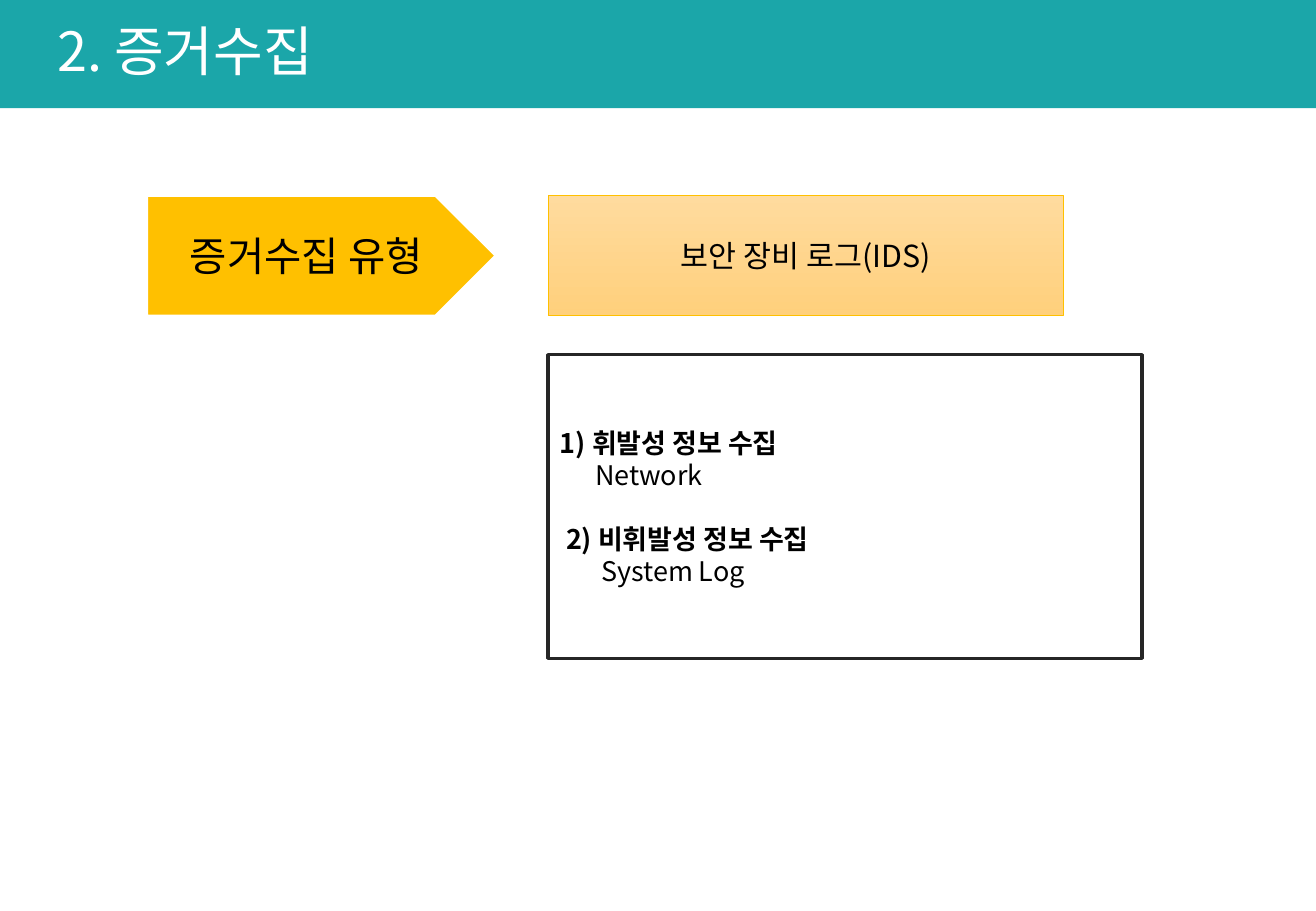
import pptx
import pptx.util
from dataclasses import dataclass
from pptx.dml.color import RGBColor
from pptx.enum.shapes import MSO_SHAPE
from pptx.enum.text import MSO_ANCHOR, PP_ALIGN
from pptx.util import Inches


@dataclass(frozen=True)
class Theme:
    font: str = "Noto Sans CJK KR"
    teal: str = "1BA6A9"
    amber: str = "FFC000"
    peach: tuple = ("FFDB9E", "FFD07C")
    white: str = "FFFFFF"
    black: str = "000000"
    charcoal: str = "262626"
    title: int = 32
    heading: int = 24
    label: int = 18
    body: int = 16
    body_line: int = 19


THEME = Theme()


def set_format(obj, values):
    for name, value in values.items():
        setattr(obj, name, value)


def paint(fill, color):
    """Fill with one colour, or from top to bottom with a pair."""
    if isinstance(color, tuple):
        fill.gradient()
        fill.gradient_angle = 270
        for stop, c in zip(fill.gradient_stops, color):
            stop.color.rgb = RGBColor.from_string(c)
    else:
        fill.solid()
        fill.fore_color.rgb = RGBColor.from_string(color)


def add_box(s, kind, box, fill, line=None, width=0):
    sp = s.shapes.add_shape(kind, *map(Inches, box))
    sp.shadow.inherit = False
    paint(sp.fill, fill)
    if line:
        paint(sp.line.fill, line)
        sp.line.width = pptx.util.Pt(width)
    else:
        sp.line.fill.background()
    set_format(sp.text_frame, {"word_wrap": True,
                               "vertical_anchor": MSO_ANCHOR.MIDDLE})
    return sp


def write(p, text, size, color=THEME.black, bold=False, **layout):
    set_format(p, layout)
    r = p.add_run()
    r.text = text
    set_format(r.font, {"name": THEME.font, "size": pptx.util.Pt(size),
                        "bold": bold})
    r.font.color.rgb = RGBColor.from_string(color)


def add_list(sp, items):
    """Write bold headings, each with an indented detail line."""
    tf = sp.text_frame
    line = pptx.util.Pt(THEME.body_line)
    for i, (heading, detail) in enumerate(items):
        margin = 0.05 * i
        rows = ((heading, True, margin, line if i else 0),
                (detail, False, margin + 0.29, 0))
        for j, (text, bold, indent, before) in enumerate(rows):
            p = tf.add_paragraph() if i or j else tf.paragraphs[0]
            write(p, text, THEME.body, bold=bold, alignment=PP_ALIGN.LEFT,
                  line_spacing=line, space_before=before)
            p._p.get_or_add_pPr().set("marL", str(Inches(indent)))


def main():
    prs = pptx.Presentation()
    set_format(prs, {"slide_width": Inches(10.83), "slide_height": Inches(7.5)})
    s = prs.slides.add_slide(prs.slide_layouts[6])

    # Title band
    sp = add_box(s, MSO_SHAPE.RECTANGLE, (0, 0, 10.83, 0.89), THEME.teal)
    sp.text_frame.margin_left = Inches(0.47)
    write(sp.text_frame.paragraphs[0], "2. 증거수집", THEME.title, THEME.white,
          alignment=PP_ALIGN.LEFT, line_spacing=0.9)

    # Evidence type arrow and its value
    sp = add_box(s, MSO_SHAPE.PENTAGON, (1.21, 1.61, 2.87, 0.99),
                 THEME.amber, THEME.white, 1.5)
    write(sp.text_frame.paragraphs[0], "증거수집 유형", THEME.heading,
          alignment=PP_ALIGN.CENTER)
    sp = add_box(s, MSO_SHAPE.RECTANGLE, (4.51, 1.61, 4.24, 0.99),
                 THEME.peach, THEME.amber, 0.5)
    write(sp.text_frame.paragraphs[0], "보안 장비 로그(IDS)", THEME.label,
          alignment=PP_ALIGN.CENTER)

    # Collection details
    sp = add_box(s, MSO_SHAPE.RECTANGLE, (4.51, 2.92, 4.89, 2.5),
                 THEME.white, THEME.charcoal, 2)
    add_list(sp, [("1) 휘발성 정보 수집", "Network"),
                  ("2) 비휘발성 정보 수집", "System Log")])

    prs.save("out.pptx")


if __name__ == "__main__":
    main()
